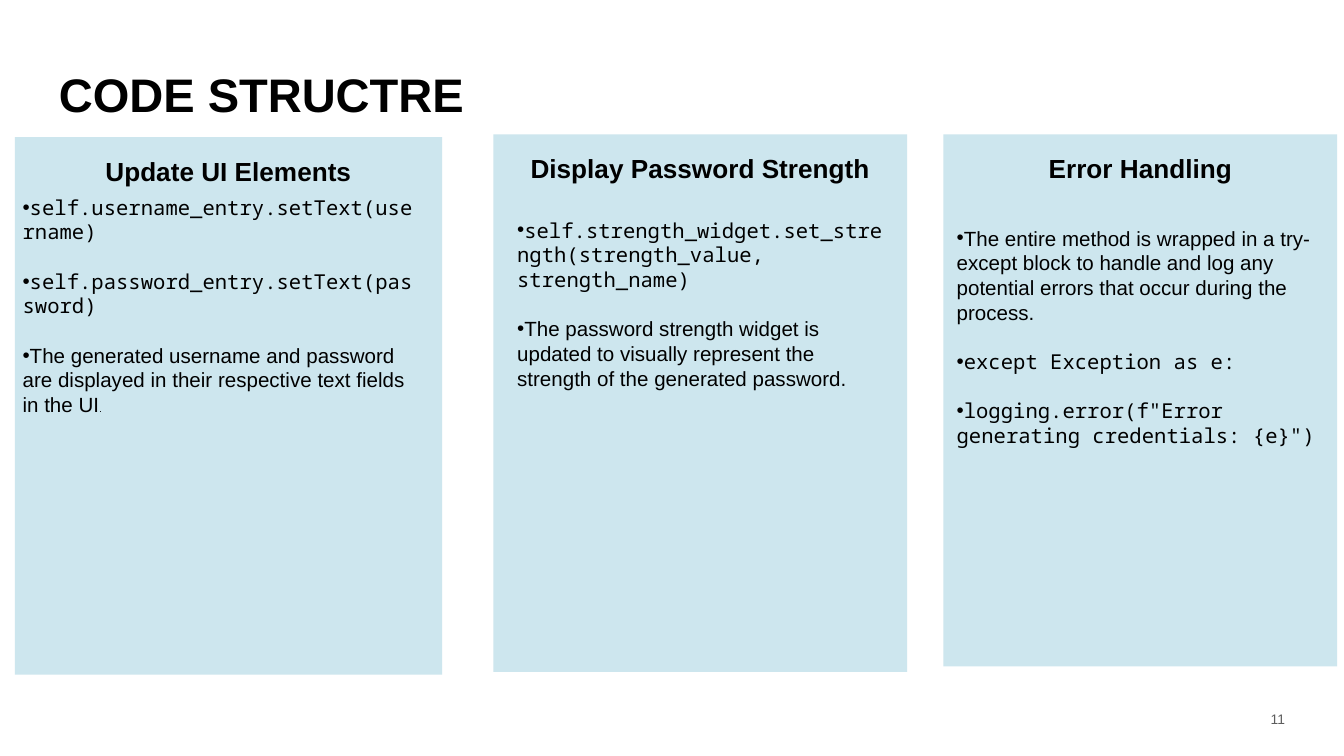
from lxml import etree
from pptx import Presentation
from pptx.dml.color import RGBColor
from pptx.enum.shapes import MSO_SHAPE
from pptx.enum.text import MSO_ANCHOR as ANCHOR, PP_ALIGN as ALIGN
from pptx.oxml.ns import qn
from pptx.util import Inches, Pt

THEME = {
    "panel": "CDE6EE", "ink": "000000", "muted": "5D5D5D",
    "sans": "Arial", "mono": "Noto Sans Mono",
    "title": 25.2, "heading": 14, "body": 11, "number": 7.4, "tiny": 5,
    "leading": Pt(13.2),
}
SANS, MONO = THEME["sans"], THEME["mono"]
BODY, TINY = THEME["body"], THEME["tiny"]

TITLE = "CODE STRUCTRE"
PAGE = "11"
COLUMNS = [
    {
        "heading": "Update UI Elements",
        "panel": (0.11, 1.02, 3.18, 4),
        "notes": (0.07, 1.4, 3.17, 1.87),
        "bullets": [
            [("self.username_entry.setText(username)", MONO, BODY)],
            [("self.password_entry.setText(password)", MONO, BODY)],
            [("The generated username and password are displayed in their "
              "respective text fields in the UI", SANS, BODY), (".", SANS, TINY)],
        ],
    },
    {
        "heading": "Display Password Strength",
        "panel": (3.67, 1, 3.08, 4),
        "notes": (3.75, 1.57, 2.93, 1.38),
        "bullets": [
            [("self.strength_widget.set_strength(strength_value, strength_name)",
              MONO, BODY)],
            [("The password strength widget is updated to visually represent the "
              "strength of the generated password.", SANS, BODY)],
        ],
    },
    {
        "heading": "Error Handling",
        "panel": (7.02, 1, 2.93, 3.96),
        "notes": (7.02, 1.63, 2.93, 1.76),
        "bullets": [
            [("The entire method is wrapped in a try-except block to handle and log "
              "any potential errors that occur during the process.", SANS, BODY)],
            [("except Exception as e:", MONO, BODY)],
            [('logging.error(f"Error generating credentials: {e}")', MONO, BODY)],
        ],
    },
]


def add_run(p, text, font=SANS, size=BODY, color="ink", bold=False):
    r = p.add_run()
    r.text = text
    r.font.name = font
    r.font.size = Pt(size)
    r.font.bold = bold
    r.font.color.rgb = RGBColor.from_string(THEME[color])


def setup_frame(s, anchor, inset_y):
    tf = s.text_frame
    tf.word_wrap = True
    tf.vertical_anchor = anchor
    tf.margin_left = tf.margin_right = Inches(0.1)
    tf.margin_top = tf.margin_bottom = Inches(inset_y)
    return tf


def write(s, text, anchor=ANCHOR.MIDDLE, align=ALIGN.LEFT, spacing=1.0, **fmt):
    p = setup_frame(s, anchor, 0.1).paragraphs[0]
    p.alignment = align
    p.line_spacing = spacing
    add_run(p, text, **fmt)


def add_box(slide, box):
    return slide.shapes.add_textbox(*map(Inches, box))


def add_panel(slide, box):
    s = slide.shapes.add_shape(MSO_SHAPE.RECTANGLE, *map(Inches, box))
    s.shadow.inherit = False
    s.fill.solid()
    s.fill.fore_color.rgb = RGBColor.from_string(THEME["panel"])
    s.line.fill.background()
    return s


def add_bullets(slide, box, bullets):
    tf = setup_frame(add_box(slide, box), ANCHOR.TOP, 0.05)
    for i, runs in enumerate(bullets):
        p = tf.paragraphs[0] if i == 0 else tf.add_paragraph()
        p.alignment = ALIGN.LEFT
        p.line_spacing = THEME["leading"]
        if i:
            p.space_before = THEME["leading"]
        pPr = p._p.get_or_add_pPr()
        etree.SubElement(pPr, qn("a:buFont")).set("typeface", SANS)
        etree.SubElement(pPr, qn("a:buChar")).set("char", "•")
        for text, font, size in runs:
            add_run(p, text, font=font, size=size)


def main():
    prs = Presentation()
    prs.slide_width = Inches(10)
    prs.slide_height = prs.slide_width * 9 // 16
    slide = prs.slides.add_slide(prs.slide_layouts[6])

    write(add_box(slide, (0.34, 0.38, 8.91, 0.63)), TITLE,
          size=THEME["title"], bold=True)
    for col in COLUMNS:
        write(add_panel(slide, col["panel"]), col["heading"], anchor=ANCHOR.TOP,
              align=ALIGN.CENTER, spacing=1.15, size=THEME["heading"], bold=True)
        add_bullets(slide, col["notes"], col["bullets"])
    write(add_box(slide, (9.26, 5.21, 0.4, 0.3)), PAGE, align=ALIGN.RIGHT,
          spacing=0.8, size=THEME["number"], color="muted")

    prs.save("out.pptx")


if __name__ == "__main__":
    main()
